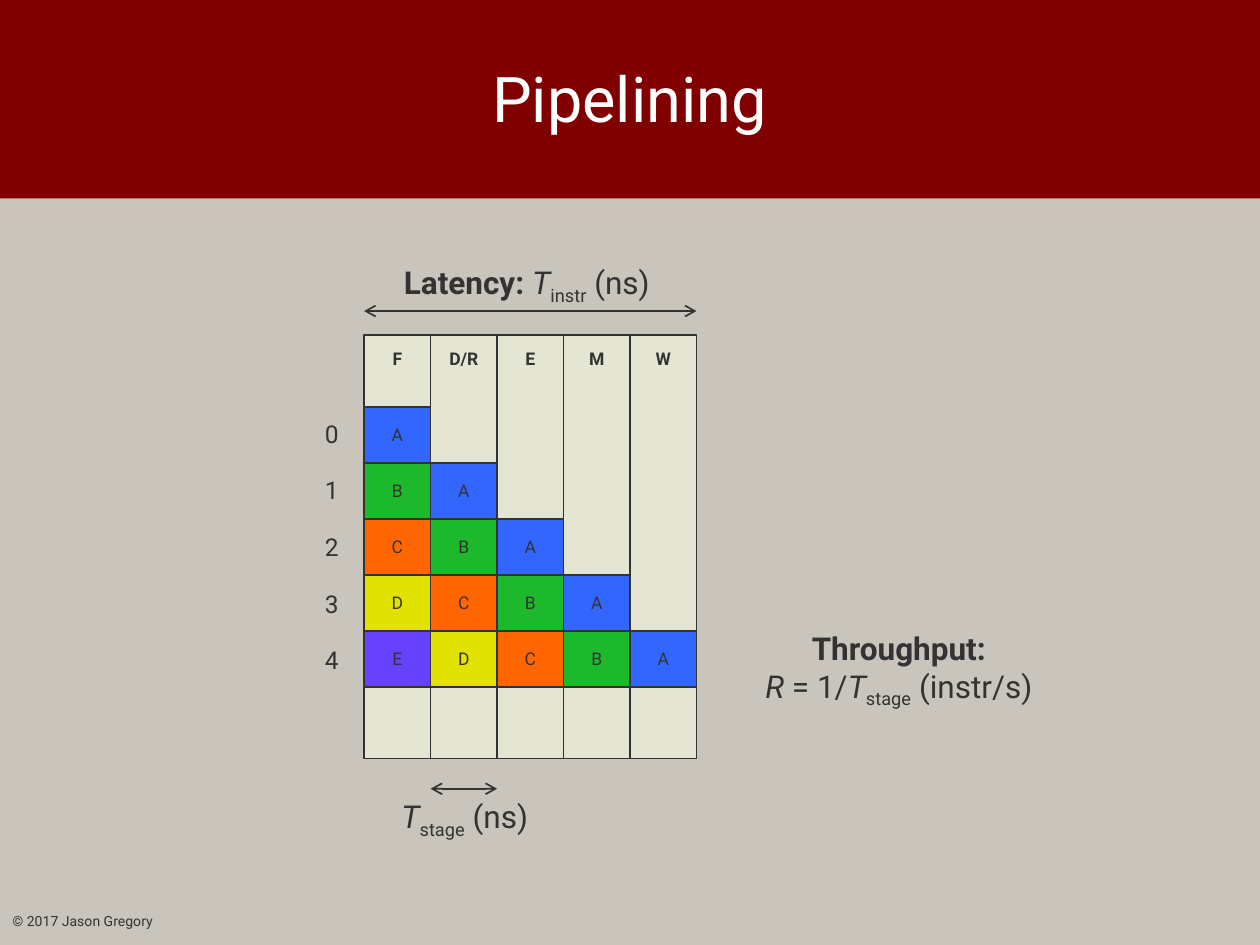
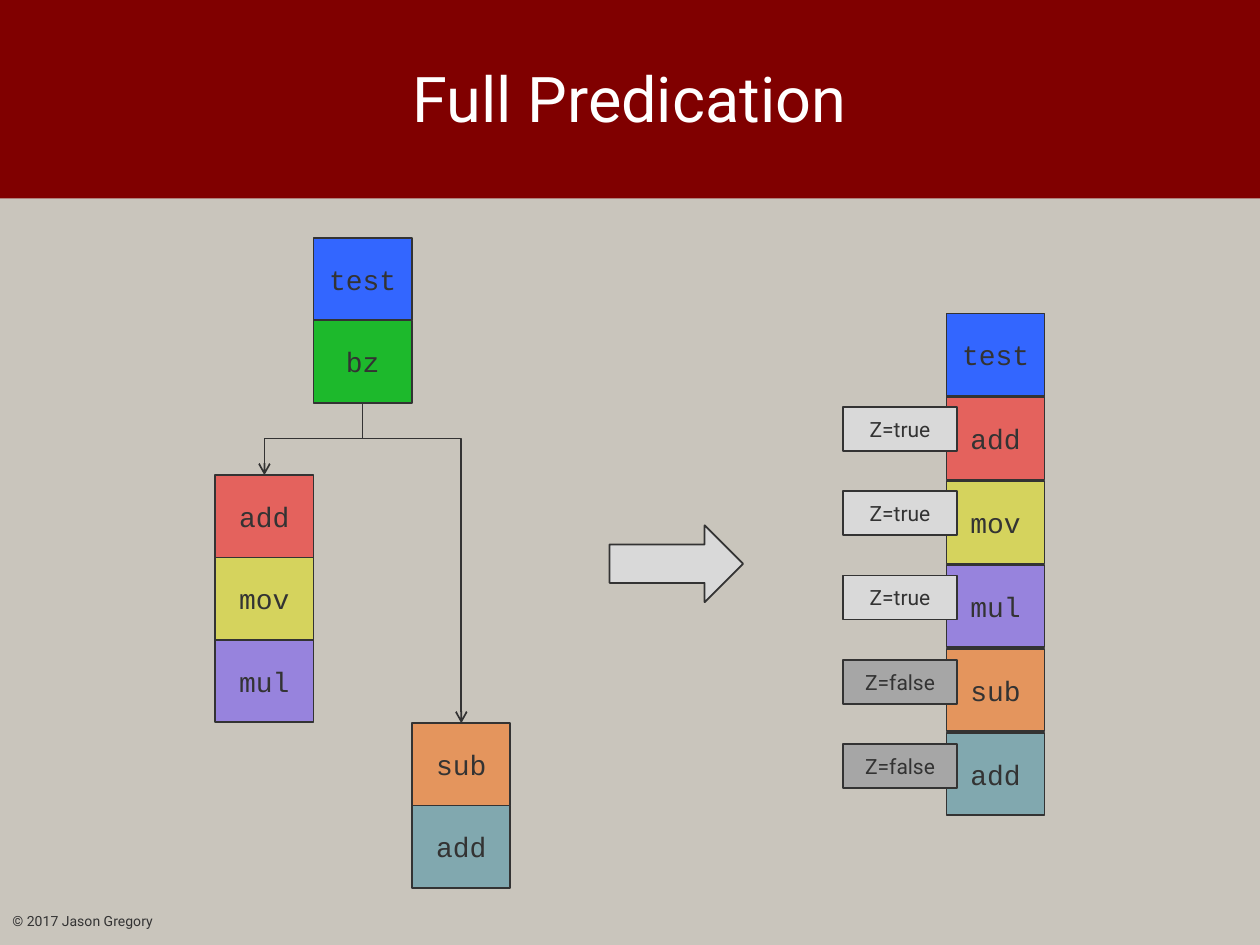
from dataclasses import dataclass
from typing import Optional

import lxml.etree
import pptx
import pptx.dml.color
import pptx.enum.shapes
import pptx.enum.text
import pptx.oxml.ns
import pptx.util
from pptx.util import Cm

SHAPES = pptx.enum.shapes.MSO_SHAPE
CONNECTORS = pptx.enum.shapes.MSO_CONNECTOR
ALIGN = pptx.enum.text.PP_ALIGN
ANCHOR = pptx.enum.text.MSO_ANCHOR

# Shared look
SANS, MONO = "Roboto", "Courier New"
INK, WHITE = "333333", "FFFFFF"
BAND, PANEL, STAGE_FILL = "800000", "C9C5BC", "E5E5D3"
BLUE, GREEN, ORANGE = "3366FF", "1DB92C", "FF6600"
YELLOW, VIOLET, RED, TEAL = "E2E200", "6642FF", "FF0000", "3B8DA4"
LIGHT_GREY, MID_GREY = "D9D9D9", "A6A6A6"
SLIDE_WIDTH, SLIDE_HEIGHT, BAND_HEIGHT = 25.4, 19.05, 4.0


@dataclass(frozen=True)
class Area:
    """Place and size in centimetres."""
    left: float
    top: float
    width: float
    height: float

    def lengths(self) -> tuple:
        return Cm(self.left), Cm(self.top), Cm(self.width), Cm(self.height)


@dataclass(frozen=True)
class Span:
    text: str
    bold: bool = False
    italic: bool = False
    subscript: bool = False


@dataclass(frozen=True)
class TextStyle:
    size: float
    font: str = SANS
    colour: str = INK
    align: ALIGN = ALIGN.CENTER
    anchor: ANCHOR = ANCHOR.MIDDLE


@dataclass(frozen=True)
class Instruction:
    name: str
    fill: str
    opacity: Optional[int] = None


TITLE = TextStyle(36, colour=WHITE)
FOOTER = TextStyle(8, align=ALIGN.LEFT)
FORMULA = TextStyle(18, anchor=ANCHOR.TOP)
CYCLE = TextStyle(14, align=ALIGN.LEFT, anchor=ANCHOR.TOP)
STAGE = TextStyle(10, anchor=ANCHOR.TOP)
CELL = TextStyle(10)
CODE = TextStyle(16, MONO)
TAG = TextStyle(12)


# Drawing helpers
def rgb(colour: str) -> pptx.dml.color.RGBColor:
    return pptx.dml.color.RGBColor.from_string(colour)


def add_element(parent, tag: str, **attributes: str):
    return lxml.etree.SubElement(parent, pptx.oxml.ns.qn(tag), attributes)


def write(frame, lines: list[list[Span]], style: TextStyle) -> None:
    frame.vertical_anchor = style.anchor
    for number, spans in enumerate(lines):
        para = frame.add_paragraph() if number else frame.paragraphs[0]
        para.alignment = style.align
        for span in spans:
            run = para.add_run()
            run.text = span.text
            run.font.name = style.font
            run.font.size = pptx.util.Pt(style.size)
            run.font.color.rgb = rgb(style.colour)
            run.font.bold = span.bold
            run.font.italic = span.italic
            if span.subscript:
                run.font._element.set("baseline", "-25000")


def add_text(page, area: Area, lines: list[list[Span]], style: TextStyle,
             wrap: bool = False) -> None:
    frame = page.shapes.add_textbox(*area.lengths()).text_frame
    frame.word_wrap = wrap
    if not wrap:
        frame.auto_size = pptx.enum.text.MSO_AUTO_SIZE.SHAPE_TO_FIT_TEXT
    write(frame, lines, style)


def add_box(page, area: Area, fill: str, outlined: bool = True,
            kind: SHAPES = SHAPES.RECTANGLE, opacity: Optional[int] = None):
    box = page.shapes.add_shape(kind, *area.lengths())
    box.shadow.inherit = False
    box.fill.solid()
    box.fill.fore_color.rgb = rgb(fill)
    if opacity is not None:
        tint = box._element.spPr.find(".//" + pptx.oxml.ns.qn("a:srgbClr"))
        add_element(tint, "a:alpha", val=str(opacity * 1000))
    if outlined:
        box.line.color.rgb = rgb(INK)
        box.line.width = pptx.util.Pt(1)
    else:
        box.line.fill.background()
    return box


def add_label_box(page, area: Area, label: str, fill: str, style: TextStyle,
                  bold: bool = False, opacity: Optional[int] = None):
    box = add_box(page, area, fill, opacity=opacity)
    box.text_frame.word_wrap = True
    write(box.text_frame, [[Span(label, bold=bold)]], style)
    return box


def add_arrow(page, kind: CONNECTORS, start: tuple[float, float],
              end: tuple[float, float], both_ends: bool = False):
    arrow = page.shapes.add_connector(kind, *map(Cm, start + end))
    arrow.line.color.rgb = rgb(INK)
    arrow.line.width = pptx.util.Pt(1)
    outline = arrow.line._get_or_add_ln()
    if both_ends:
        add_element(outline, "a:headEnd", type="arrow")
    add_element(outline, "a:tailEnd", type="arrow")
    add_element(arrow._element.spPr, "a:effectLst")
    return arrow


def add_branch(page, start: tuple[float, float], end: tuple[float, float],
               stem: float) -> None:
    """Elbow arrow that goes down by stem, sideways, then down to the end."""
    drop, shift = end[1] - start[1], end[0] - start[0]
    middle_x, middle_y = (start[0] + end[0]) / 2, (start[1] + end[1]) / 2
    # The elbow is laid out sideways and then turned to run downwards.
    side = 1 if shift > 0 else -1
    half_drop, half_shift = side * drop / 2, abs(shift) / 2
    arrow = add_arrow(page, CONNECTORS.ELBOW,
                      (middle_x + half_drop, middle_y - half_shift),
                      (middle_x - half_drop, middle_y + half_shift))
    properties = arrow._element.spPr
    turn = 270 if shift > 0 else 90
    properties.find(pptx.oxml.ns.qn("a:xfrm")).set("rot", str(turn * 60000))
    guides = properties.find(".//" + pptx.oxml.ns.qn("a:avLst"))
    add_element(guides, "a:gd", name="adj1", fmla=f"val {round(stem / drop * 100000)}")


def add_page(deck, title: str):
    page = deck.slides.add_slide(deck.slide_layouts[6])
    page.background.fill.solid()
    page.background.fill.fore_color.rgb = rgb(BAND)
    panel = Area(0, BAND_HEIGHT, SLIDE_WIDTH, SLIDE_HEIGHT - BAND_HEIGHT)
    add_box(page, panel, PANEL, outlined=False)
    add_text(page, Area(2.16, 0.18, 21.06, 3.56), [[Span(title)]], TITLE, wrap=True)
    add_text(page, Area(0, 18.06, 8.05, 1.02), [[Span("© 2017 Jason Gregory")]],
             FOOTER, wrap=True)
    return page


# Slide 1: pipeline stages against clock cycles
def draw_pipelining(deck) -> None:
    page = add_page(deck, "Pipelining")
    stages = ["F", "D/R", "E", "M", "W"]
    instructions = [Instruction("A", BLUE), Instruction("B", GREEN),
                    Instruction("C", ORANGE), Instruction("D", YELLOW),
                    Instruction("E", VIOLET)]
    grid_left, stage_width = 7.34, 1.34
    first_cell_top, cell_height = 8.2, 1.13
    grid_right = grid_left + len(stages) * stage_width
    period = Span("T", italic=True)
    per_stage = Span("stage", subscript=True)

    # Formulas and measuring arrows
    add_text(page, Area(15.06, 12.55, 6.12, 1.8),
             [[Span("Throughput:", bold=True)],
              [Span("R", italic=True), Span(" = 1/"), period, per_stage,
               Span(" (instr/s)")]], FORMULA)
    add_text(page, Area(7.85, 5.18, 5.54, 1.02),
             [[Span("Latency: ", bold=True), period,
               Span("instr", subscript=True), Span(" (ns)")]], FORMULA)
    add_text(page, Area(7.82, 15.95, 3.1, 1.02),
             [[period, per_stage, Span(" (ns)")]], FORMULA)
    stage_start = grid_left + stage_width
    for left, right, height in [(grid_left, grid_right, 6.27),
                                (stage_start, stage_start + stage_width, 15.9)]:
        add_arrow(page, CONNECTORS.STRAIGHT, (left, height), (right, height),
                  both_ends=True)

    # Stage columns, right to left, each filled from the cycle it is reached
    for column, stage in reversed(list(enumerate(stages))):
        left = grid_left + column * stage_width
        header = add_label_box(page, Area(left, 6.76, stage_width, 8.53), stage,
                               STAGE_FILL, STAGE, bold=True)
        header.text_frame.margin_top = Cm(0.25)
        for cycle in range(column, len(instructions)):
            instruction = instructions[cycle - column]
            area = Area(left, first_cell_top + cycle * cell_height,
                        stage_width, cell_height)
            add_label_box(page, area, instruction.name, instruction.fill, CELL)

    # Cycle numbers
    for cycle in range(len(instructions)):
        add_text(page, Area(6.3, 8.32 + cycle * 1.14, 0.76, 0.86),
                 [[Span(str(cycle))]], CYCLE)


# Slide 2: branching code beside predicated code
def draw_stack(page, left: float, top: float, pitch: float,
               instructions: list[Instruction]) -> None:
    for row, instruction in enumerate(instructions):
        add_label_box(page, Area(left, top + row * pitch, 1.98, 1.66),
                      instruction.name, instruction.fill, CODE,
                      opacity=instruction.opacity)


def draw_predication(deck) -> None:
    page = add_page(deck, "Full Predication")
    test, branch = Instruction("test", BLUE), Instruction("bz", GREEN)
    when_true = [Instruction("add", RED, 50), Instruction("mov", YELLOW, 50),
                 Instruction("mul", VIOLET, 50)]
    when_false = [Instruction("sub", ORANGE, 50), Instruction("add", TEAL, 50)]

    # Branching version
    for target in [(5.33, 9.58), (9.3, 14.58)]:
        add_branch(page, (7.31, 8.1), target, stem=0.74)
    draw_stack(page, 6.32, 4.8, 1.66, [test, branch])
    draw_stack(page, 4.34, 9.58, 1.66, when_true)
    draw_stack(page, 8.31, 14.58, 1.66, when_false)

    add_box(page, Area(12.29, 10.59, 2.69, 1.55), LIGHT_GREY,
            kind=SHAPES.RIGHT_ARROW)

    # Predicated version with its condition tags
    draw_stack(page, 19.08, 6.32, 1.69, [test] + when_true + when_false)
    tags = ([("Z=true", LIGHT_GREY)] * len(when_true)
            + [("Z=false", MID_GREY)] * len(when_false))
    for row, (condition, fill) in enumerate(tags):
        add_label_box(page, Area(16.99, 8.2 + row * 1.7, 2.31, 0.89),
                      condition, fill, TAG)


def main() -> None:
    deck = pptx.Presentation()
    deck.slide_width, deck.slide_height = Cm(SLIDE_WIDTH), Cm(SLIDE_HEIGHT)
    draw_pipelining(deck)
    draw_predication(deck)
    deck.save("out.pptx")


if __name__ == "__main__":
    main()
